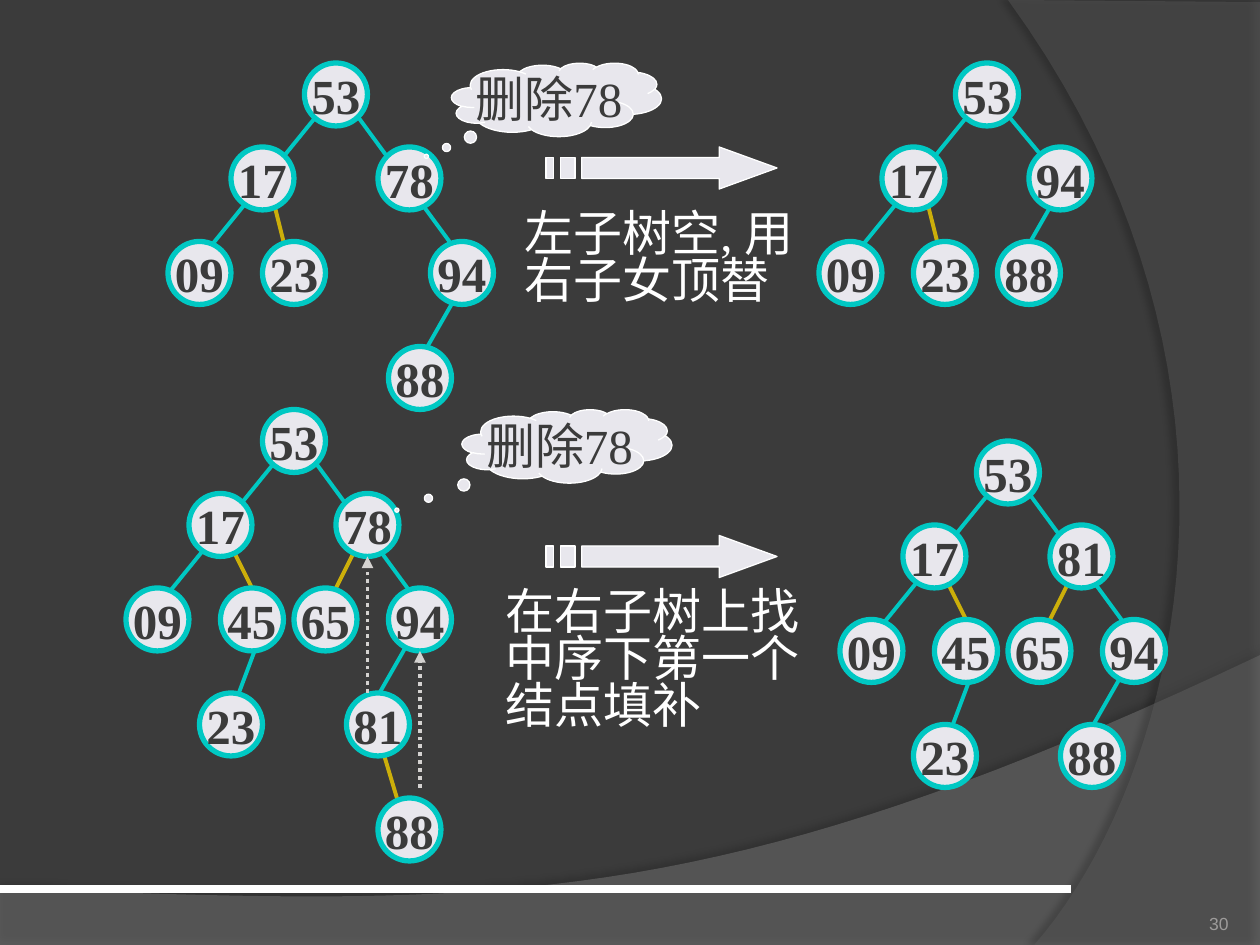
from lxml import etree
from pptx import Presentation
from pptx import util as u
from pptx.dml.color import RGBColor
from pptx.enum import dml, shapes, text
from pptx.oxml.ns import qn

COLORS = {"ground": "3B3B3B", "band": "7F7F7F", "side": "5E5E5E",
          "white": "FFFFFF", "pale": "E8E7ED", "teal": "00C8C3",
          "gold": "CCAF0A", "dots": "D4D2D0", "number": "9D9B9A"}
GRID = 2.54 / 12  # cm; the slide is 120 by 90 grid steps
NODE = 6          # node diameter in grid steps

# Offsets from the top left of each root, in grid steps
LEFT_SPINE = (2, 4, -11, 20)
RIGHT_SPINE = (5, 5, 16, 20)
UPPER_NODES = {"53": (0, 0), "17": (-7, 8), "09": (-13, 17)}
SMALL_NODES = UPPER_NODES | {"23": (-4, 17)}
LARGE_NODES = UPPER_NODES | {"45": (-4, 17), "23": (-6, 27),
                             "65": (3, 17), "94": (12, 17)}
LARGE_TEAL = [LEFT_SPINE, RIGHT_SPINE, (0, 21, -3, 29), (14, 22, 10, 29)]
LARGE_GOLD = [(-3, 13, 0, 19), (9, 13, 6, 19)]

TREES = [
    {"root": (29, 6),
     "nodes": SMALL_NODES | {"78": (7, 8), "94": (12, 17), "88": (8, 27)},
     "teal": [LEFT_SPINE, RIGHT_SPINE, (14, 23, 10, 30)],
     "gold": [(-3, 13, -1, 21)]},
    {"root": (91, 6),
     "nodes": SMALL_NODES | {"94": (7, 8), "88": (4, 17)},
     "teal": [LEFT_SPINE, (5, 5, 10, 11), (10, 12, 6, 19)],
     "gold": [(-3, 12, -1, 20)]},
    {"root": (25, 39),
     "nodes": LARGE_NODES | {"78": (7, 8), "81": (8, 27), "88": (11, 37)},
     "teal": LARGE_TEAL,
     "gold": LARGE_GOLD + [(11, 31, 14, 41)]},
    {"root": (93, 42),
     "nodes": LARGE_NODES | {"81": (7, 8), "88": (8, 27)},
     "teal": LARGE_TEAL,
     "gold": LARGE_GOLD},
]
MOVES = [(35, 66, 35, 53), (40, 75, 40, 62)]

STRIPED_ARROW = [
    [(16.5, 0), (16.5, 1), (3.4, 1), (3.4, 3), (16.5, 3), (16.5, 4), (22, 2)],
    [(1.4, 1), (1.4, 3), (2.75, 3), (2.75, 1)],
    [(0, 1), (0, 3), (0.7, 3), (0.7, 1)],
]


def steps(*values):
    return [u.Cm(value * GRID) for value in values]


def rgb(name):
    return RGBColor.from_string(COLORS[name])


def write(shape, words, *, size=28, color="ground", font="Times New Roman",
          bold=False, align=text.PP_ALIGN.CENTER,
          anchor=text.MSO_ANCHOR.MIDDLE, wrap=False, spacing=None,
          inset=None, grow=False):
    frame = shape.text_frame
    frame.word_wrap = wrap
    frame.vertical_anchor = anchor
    if inset is not None:
        frame.margin_left = frame.margin_right = inset
        frame.margin_top = frame.margin_bottom = inset
    if grow:
        frame.auto_size = text.MSO_AUTO_SIZE.SHAPE_TO_FIT_TEXT
    paragraph = frame.paragraphs[0]
    paragraph.alignment = align
    if spacing:
        paragraph.line_spacing = spacing
    run = paragraph.add_run()
    run.text = words
    run.font.size = u.Pt(size)
    run.font.name = font
    run.font.bold = bold
    run.font.color.rgb = rgb(color)


def paint(shape, fill, line=None, width=0.75):
    shape.shadow.inherit = False
    shape.fill.solid()
    shape.fill.fore_color.rgb = rgb(fill)
    if line:
        shape.line.color.rgb = rgb(line)
        shape.line.width = u.Pt(width)
    else:
        shape.line.fill.background()


def add_line(slide, ends, color, width=2.25, dotted_arrow=False):
    line = slide.shapes.add_connector(shapes.MSO_CONNECTOR.STRAIGHT, *steps(*ends))
    line.line.color.rgb = rgb(color)
    line.line.width = u.Pt(width)
    properties = line._element.spPr
    if dotted_arrow:
        line.line.dash_style = dml.MSO_LINE.ROUND_DOT
        etree.SubElement(properties.find(qn("a:ln")), qn("a:tailEnd"), type="triangle")
    etree.SubElement(properties, qn("a:effectLst"))


def add_outline(slide, contours):
    """Builds one shape from closed contours of grid points."""
    builder = None
    for contour in contours:
        start, *rest = [steps(*point) for point in contour]
        if builder is None:
            builder = slide.shapes.build_freeform(*start, scale=1.0)
        else:
            builder.move_to(*start)
        builder.add_line_segments(rest, close=True)
    return builder.convert_to_shape()


def curve(a, b, c, d, count=40):
    """Points along a cubic Bézier curve."""
    points = []
    for i in range(count + 1):
        t = i / count
        weights = ((1 - t) ** 3, 3 * t * (1 - t) ** 2, 3 * t * t * (1 - t), t ** 3)
        points.append(tuple(sum(w * p[axis] for w, p in zip(weights, (a, b, c, d)))
                            for axis in (0, 1)))
    return points


def add_backdrop(slide, points, color, opacity, shade, distance, angle):
    backdrop = add_outline(slide, [points])
    paint(backdrop, color)
    properties = backdrop._element.spPr
    tint = properties.find(qn("a:solidFill")).find(qn("a:srgbClr"))
    etree.SubElement(tint, qn("a:alpha"), val=str(opacity * 1000))
    shadow = etree.SubElement(
        properties.find(qn("a:effectLst")), qn("a:outerShdw"),
        blurRad=str(u.Pt(4)), dist=str(u.Pt(distance)), dir=str(angle * 60000),
        algn="ctr", rotWithShape="0")
    black = etree.SubElement(shadow, qn("a:srgbClr"), val="000000")
    etree.SubElement(black, qn("a:alpha"), val=str(shade * 1000))


def add_tree(slide, root, nodes, teal, gold):
    x, y = root
    for color, edges in (("gold", gold), ("teal", teal)):
        for x1, y1, x2, y2 in edges:
            add_line(slide, (x + x1, y + y1, x + x2, y + y2), color)
    for key, (dx, dy) in nodes.items():
        node = slide.shapes.add_shape(
            shapes.MSO_SHAPE.OVAL, *steps(x + dx, y + dy, NODE, NODE))
        paint(node, "pale", "teal", 3)
        write(node, key, bold=True)


def add_cloud(slide, left, top, pointer):
    cloud = slide.shapes.add_shape(
        shapes.MSO_SHAPE.CLOUD_CALLOUT, *steps(left, top, 20, 7))
    cloud.adjustments[0], cloud.adjustments[1] = pointer
    paint(cloud, "pale", "white")
    write(cloud, "删除78")


def add_striped_arrow(slide, left, top):
    arrow = add_outline(slide, [[(left + x, top + y) for x, y in contour]
                                for contour in STRIPED_ARROW])
    paint(arrow, "pale", "white")


def add_text(slide, box, words, **style):
    write(slide.shapes.add_textbox(*steps(*box)), words, **style)


def main():
    deck = Presentation()
    deck.slide_width, deck.slide_height = u.Cm(25.4), u.Cm(19.05)
    slide = deck.slides.add_slide(deck.slide_layouts[6])
    slide.background.fill.solid()
    slide.background.fill.fore_color.rgb = rgb("ground")

    floor = curve((120, 62.4), (67.1, 87.5), (46.9, 86.3), (0, 84.6))
    add_backdrop(slide, [(0, 90), (120, 90)] + floor, "band", 45, 35, 3.5, 270)
    side = curve((98.5, 90), (112.2, 74.3), (122.2, 36), (96, 0))
    add_backdrop(slide, [(120, 0.2), (120, 90)] + side, "side", 40, 45, 4, 180)
    add_line(slide, (0, 84.7, 102, 84.7), "white", 4.5)
    add_text(slide, (107, 84.2, 10, 4.8), "30", size=10, font="Arial",
             color="number", align=text.PP_ALIGN.RIGHT,
             anchor=text.MSO_ANCHOR.BOTTOM, wrap=True, inset=0)

    for tree in TREES:
        add_tree(slide, **tree)
    add_cloud(slide, 43, 6, (-0.62, 0.77))
    add_cloud(slide, 44, 39, (-0.81, 0.87))
    for top in (14, 51):
        add_striped_arrow(slide, 52, top)

    note = {"color": "white", "align": text.PP_ALIGN.LEFT, "wrap": True,
            "anchor": text.MSO_ANCHOR.TOP, "spacing": 0.8, "grow": True}
    add_text(slide, (48.8, 19.8, 29.2, 10.2), "左子树空, 用右子女顶替", **note)
    add_text(slide, (47, 55.8, 31, 14.6), "在右子树上找中序下第一个结点填补", **note)
    for move in MOVES:
        add_line(slide, move, "dots", dotted_arrow=True)

    deck.save("out.pptx")


if __name__ == "__main__":
    main()
